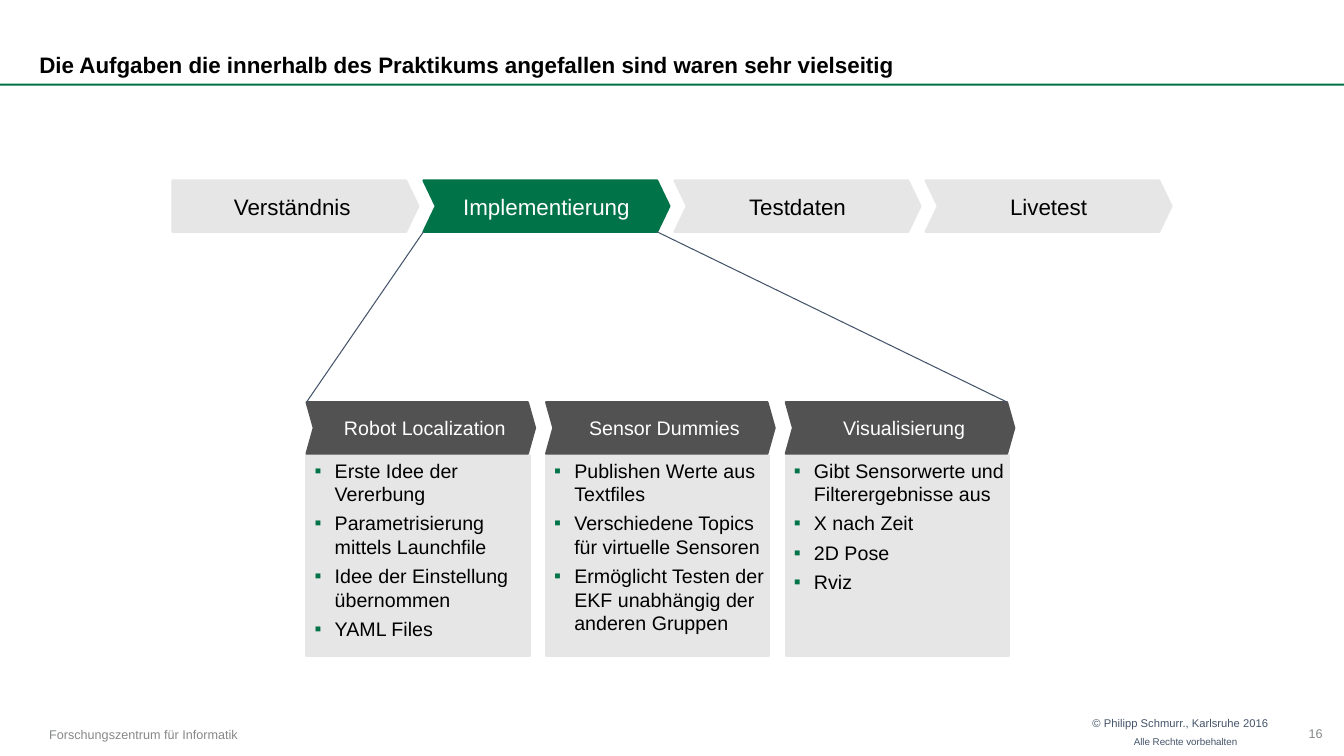
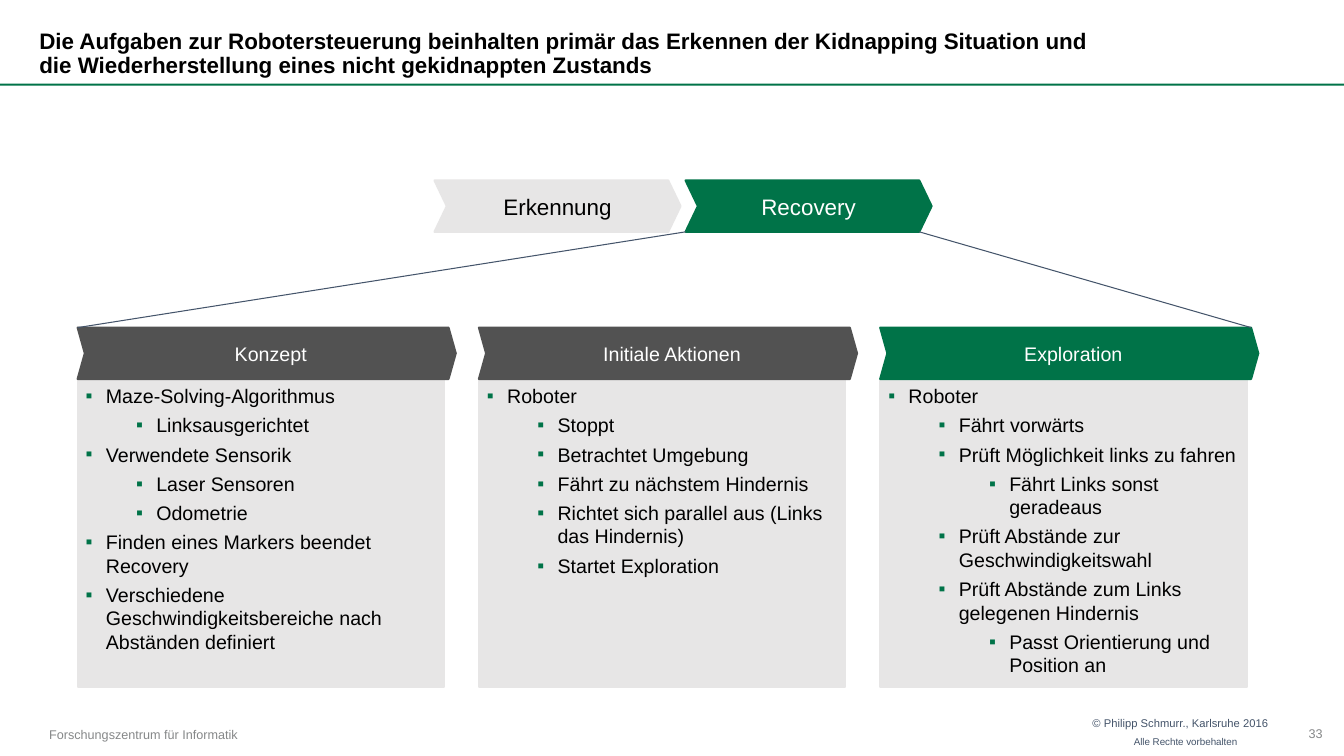
import dataclasses

import lxml.etree
import pptx
import pptx.dml.color
import pptx.enum.shapes
import pptx.enum.text
import pptx.oxml.ns
import pptx.util

Inches = pptx.util.Inches
Pt = pptx.util.Pt
SHAPE = pptx.enum.shapes.MSO_SHAPE
ALIGN = pptx.enum.text.PP_ALIGN
ANCHOR = pptx.enum.text.MSO_ANCHOR
qn = pptx.oxml.ns.qn


@dataclasses.dataclass(frozen=True)
class Theme:
    font: str = "Arial"
    green: str = "007348"
    dark: str = "525252"
    light: str = "E7E6E6"
    navy: str = "44546A"
    muted: str = "868889"
    black: str = "000000"
    white: str = "FFFFFF"
    title: float = 16
    step: float = 16
    body: float = 14
    footer: float = 9
    rights: float = 8
    rights_small: float = 7


T = Theme()
CHEVRON_H = 0.51
STEP_W, STEP_GAP, STEP_ADJ = 2.44, 0.05, 0.24
HEAD_ADJ = 0.14


def rgb(color):
    return pptx.dml.color.RGBColor.from_string(color)


def add_run(p, text, size, color, bold=False):
    r = p.add_run()
    r.text = text
    r.font.name = T.font
    r.font.size = Pt(size)
    r.font.bold = bold
    r.font.color.rgb = rgb(color)


def set_frame(tf, anchor, insets=(0.1, 0.05, 0.1, 0.05), wrap=True):
    tf.auto_size = pptx.enum.text.MSO_AUTO_SIZE.NONE
    tf.word_wrap = wrap
    tf.vertical_anchor = anchor
    tf.margin_left, tf.margin_top, tf.margin_right, tf.margin_bottom = map(Inches, insets)


def add_box(slide, kind, box, fill, adj=None):
    sp = slide.shapes.add_shape(kind, *map(Inches, box))
    sp.shadow.inherit = False
    sp.fill.solid()
    sp.fill.fore_color.rgb = rgb(fill)
    sp.line.color.rgb = rgb(fill)
    sp.line.width = Pt(1.5)
    if adj is not None:
        sp.adjustments[0] = adj
    return sp


def add_arrow_box(slide, kind, box, fill, adj, text, size, insets=(0.1, 0.05, 0.1, 0.05)):
    sp = add_box(slide, kind, box, fill, adj)
    set_frame(sp.text_frame, ANCHOR.MIDDLE, insets)
    p = sp.text_frame.paragraphs[0]
    p.alignment = ALIGN.CENTER
    add_run(p, text, size, T.black if fill == T.light else T.white)


def add_label(slide, box, text, size, color, align=ALIGN.LEFT, anchor=ANCHOR.MIDDLE):
    sp = slide.shapes.add_textbox(*map(Inches, box))
    set_frame(sp.text_frame, anchor, wrap=False)
    p = sp.text_frame.paragraphs[0]
    p.alignment = align
    add_run(p, text, size, color)


def add_line(slide, start, end):
    line = slide.shapes.add_connector(
        pptx.enum.shapes.MSO_CONNECTOR.STRAIGHT, *map(Inches, start + end))
    line.line.color.rgb = rgb(T.navy)
    line.line.width = Pt(0.75)
    lxml.etree.SubElement(line._element.spPr, qn("a:effectLst"))


def set_bullet(p, level):
    pPr = p._p.get_or_add_pPr()
    pPr.set("marL", str(Inches(0.28 + 0.5 * level)))
    pPr.set("indent", str(Inches(-0.2)))
    color = lxml.etree.SubElement(pPr, qn("a:buClr"))
    lxml.etree.SubElement(color, qn("a:srgbClr"), val=T.green)
    lxml.etree.SubElement(pPr, qn("a:buFont"), typeface=T.font)
    lxml.etree.SubElement(pPr, qn("a:buChar"), char="▪")


def add_frame(prs, title, number):
    """Title, rule and footer shared by all slides."""
    slide = prs.slides.add_slide(prs.slide_layouts[5])
    # Title
    sp = slide.shapes.title
    sp.left, sp.top, sp.width, sp.height = map(Inches, (0, 0, 10.97, 0.83))
    set_frame(sp.text_frame, ANCHOR.BOTTOM, (0.39, 0.05, 0.1, 0.05))
    p = sp.text_frame.paragraphs[0]
    p.alignment = ALIGN.LEFT
    p.line_spacing = 0.9
    add_run(p, title, T.title, T.black, bold=True)
    # Rule below the title
    rule = add_box(slide, SHAPE.RECTANGLE, (0, 0.83, 13.33, 0.02), T.green)
    rule.line.fill.background()
    # Footer
    add_label(slide, (10.71, 7.06, 1.97, 0.44), "© Philipp Schmurr., Karlsruhe 2016",
              T.rights, T.navy, ALIGN.RIGHT, ANCHOR.TOP)
    add_label(slide, (11.02, 7.25, 1.35, 0.25), "Alle Rechte vorbehalten",
              T.rights_small, T.navy, ALIGN.RIGHT, ANCHOR.TOP)
    add_label(slide, (0.39, 7.07, 2.13, 0.43), "Forschungszentrum für Informatik",
              T.footer, T.muted)
    add_label(slide, (12.88, 7.06, 0.45, 0.44), str(number), T.footer, T.muted)
    return slide


def add_steps(slide, left, top, steps, active, first=SHAPE.CHEVRON):
    """Process row; returns the lower corners of the active step."""
    for i, text in enumerate(steps):
        x = left + i * (STEP_W + STEP_GAP)
        add_arrow_box(slide, SHAPE.CHEVRON if i else first, (x, top, STEP_W, CHEVRON_H),
                      T.green if text == active else T.light, STEP_ADJ, text, T.step)
    x = left + steps.index(active) * (STEP_W + STEP_GAP)
    bottom = top + CHEVRON_H
    return (x, bottom), (x + STEP_W - STEP_ADJ * CHEVRON_H, bottom)


def add_bullets(slide, box, items):
    sp = add_box(slide, SHAPE.RECTANGLE, box, T.light)
    tf = sp.text_frame
    set_frame(tf, ANCHOR.TOP, (0, 0.04, 0, 0.04))
    for i, (level, text) in enumerate(items):
        p = tf.add_paragraph() if i else tf.paragraphs[0]
        p.level = level
        p.alignment = ALIGN.LEFT
        set_bullet(p, level)
        p.space_before = Pt(2 if i else 0)
        p.space_after = Pt(2)
        add_run(p, text, T.body, T.black)


def add_panels(slide, box, gap, panels, active=None):
    """Headed bullet columns filling the box; returns its upper corners."""
    left, top, width, height = box
    head_w = (width - gap * (len(panels) - 1)) / len(panels)
    body_top = CHEVRON_H + 0.01
    for i, (head, items) in enumerate(panels):
        x = left + i * (head_w + gap)
        add_bullets(slide, (x, top + body_top, head_w - gap / 2, height - body_top), items)
        add_arrow_box(slide, SHAPE.CHEVRON, (x, top, head_w, CHEVRON_H),
                      T.green if head == active else T.dark, HEAD_ADJ, head, T.body,
                      (0.18, 0.05, 0.1, 0.05))
    return (left, top), (left + width - HEAD_ADJ * CHEVRON_H, top)


def add_zoom(slide, step_corners, panel_corners):
    for start, end in zip(step_corners, panel_corners):
        add_line(slide, start, end)


def build_tasks(prs):
    slide = add_frame(
        prs, "Die Aufgaben die innerhalb des Praktikums angefallen sind waren sehr vielseitig", 16)
    step = add_steps(slide, 1.71, 1.79,
                     ["Verständnis", "Implementierung", "Testdaten", "Livetest"],
                     "Implementierung", SHAPE.PENTAGON)
    panels = add_panels(slide, (3.04, 3.99, 7.02, 2.52), 0.11, [
        ("Robot Localization", [
            (0, "Erste Idee der Vererbung"),
            (0, "Parametrisierung mittels Launchfile"),
            (0, "Idee der Einstellung übernommen"),
            (0, "YAML Files")]),
        ("Sensor Dummies", [
            (0, "Publishen Werte aus Textfiles"),
            (0, "Verschiedene Topics für virtuelle Sensoren"),
            (0, "Ermöglicht Testen der EKF unabhängig der anderen Gruppen")]),
        ("Visualisierung", [
            (0, "Gibt Sensorwerte und Filterergebnisse aus"),
            (0, "X nach Zeit"),
            (0, "2D Pose"),
            (0, "Rviz")]),
    ])
    add_zoom(slide, step, panels)


def build_recovery(prs):
    slide = add_frame(
        prs, "Die Aufgaben zur Robotersteuerung beinhalten primär das Erkennen der Kidnapping "
        "Situation und die Wiederherstellung eines nicht gekidnappten Zustands", 33)
    step = add_steps(slide, 4.31, 1.79, ["Erkennung", "Recovery"], "Recovery")
    panels = add_panels(slide, (0.77, 3.25, 11.71, 3.57), 0.23, [
        ("Konzept", [
            (0, "Maze-Solving-Algorithmus"),
            (1, "Linksausgerichtet"),
            (0, "Verwendete Sensorik"),
            (1, "Laser Sensoren"),
            (1, "Odometrie"),
            (0, "Finden eines Markers beendet Recovery"),
            (0, "Verschiedene Geschwindigkeitsbereiche nach Abständen definiert")]),
        ("Initiale Aktionen", [
            (0, "Roboter"),
            (1, "Stoppt"),
            (1, "Betrachtet Umgebung"),
            (1, "Fährt zu nächstem Hindernis"),
            (1, "Richtet sich parallel aus (Links das Hindernis)"),
            (1, "Startet Exploration")]),
        ("Exploration", [
            (0, "Roboter"),
            (1, "Fährt vorwärts"),
            (1, "Prüft Möglichkeit links zu fahren"),
            (2, "Fährt Links sonst geradeaus"),
            (1, "Prüft Abstände zur Geschwindigkeitswahl"),
            (1, "Prüft Abstände zum Links gelegenen Hindernis"),
            (2, "Passt Orientierung und Position an")]),
    ], active="Exploration")
    add_zoom(slide, step, panels)


def main():
    prs = pptx.Presentation()
    prs.slide_width, prs.slide_height = Inches(13.33), Inches(7.5)
    build_tasks(prs)
    build_recovery(prs)
    prs.save("out.pptx")


if __name__ == "__main__":
    main()
